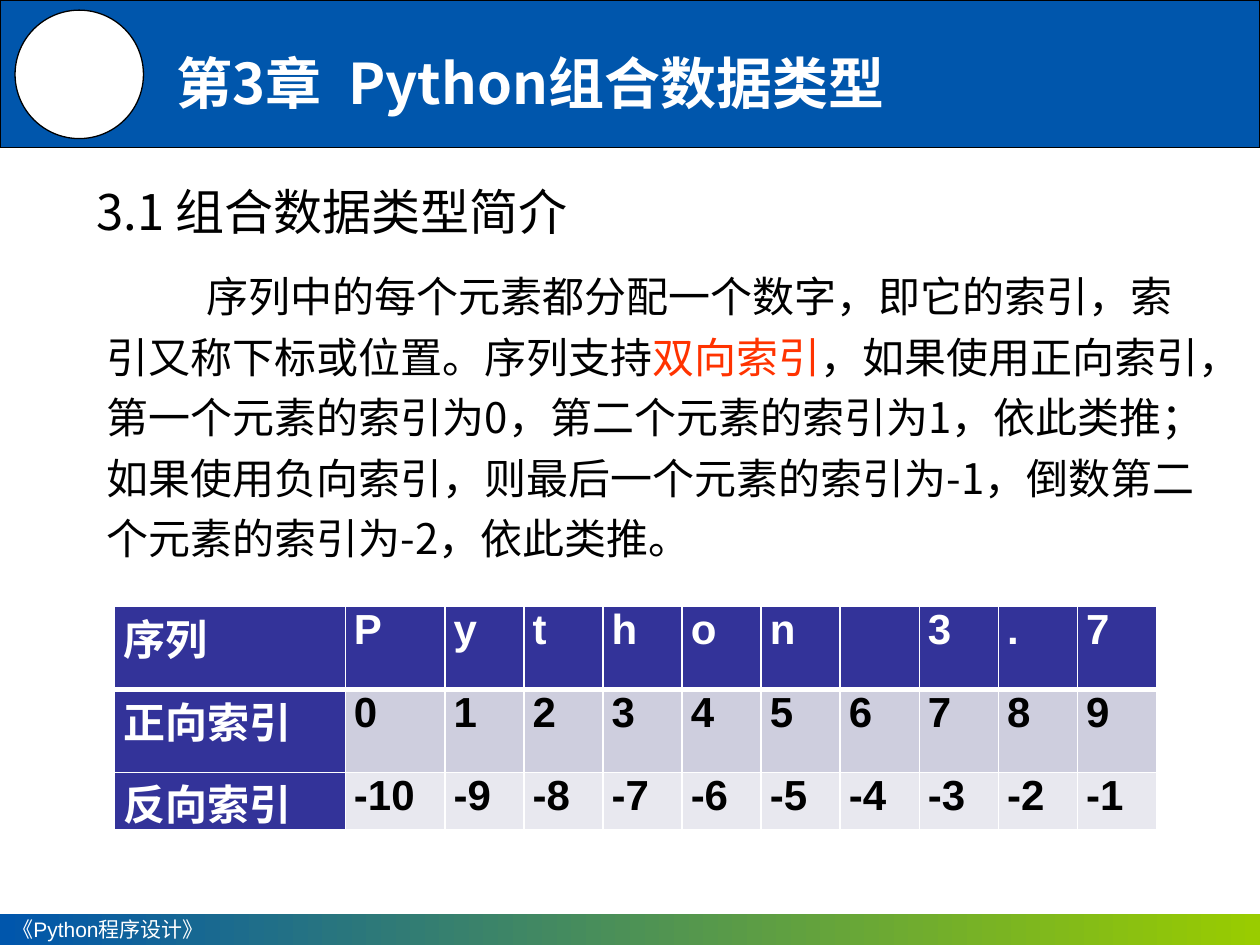
from dataclasses import dataclass
from typing import Optional

from lxml.etree import SubElement
from pptx import Presentation
from pptx.dml.color import RGBColor
from pptx.enum.shapes import MSO_SHAPE as Shape
from pptx.enum.text import MSO_ANCHOR as Anchor, PP_ALIGN as Align
from pptx.oxml.ns import qn
from pptx.util import Pt


@dataclass(frozen=True)
class Theme:
    blue: str = "0056AC"
    green: str = "99CC00"
    white: str = "FFFFFF"
    black: str = "000000"
    accent: str = "FF3300"
    header: str = "333399"
    forward: str = "CECEDE"
    backward: str = "E8E8EF"
    sans: str = "Noto Sans CJK SC"
    latin: str = "Arial"
    title: float = 32
    heading: float = 28
    body: float = 24
    footer: float = 12


@dataclass(frozen=True)
class Box:
    left: float
    top: float
    width: float
    height: float

    def lengths(self) -> tuple:
        return Pt(self.left), Pt(self.top), Pt(self.width), Pt(self.height)


@dataclass(frozen=True)
class Words:
    text: str
    size: float
    color: str
    font: str = "Noto Sans CJK SC"
    bold: bool = False
    spacing: Optional[float] = None


@dataclass(frozen=True)
class IndexRow:
    label: str
    values: list
    fill: str
    color: str
    height: float


THEME = Theme()


def rgb(color: str) -> RGBColor:
    return RGBColor.from_string(color)


def add_words(paragraph, words: Words) -> None:
    run = paragraph.add_run()
    run.text = words.text
    font = run.font
    font.size, font.bold, font.name = Pt(words.size), words.bold, words.font
    font.color.rgb = rgb(words.color)
    properties = run.font._element
    SubElement(properties, qn("a:ea"), typeface=THEME.sans)
    if words.spacing is not None:
        properties.set("spc", str(int(words.spacing * 100)))


def add_text(slide, box: Box, parts: list, anchor=Anchor.TOP):
    frame = slide.shapes.add_textbox(*box.lengths()).text_frame
    frame.word_wrap = True
    frame.vertical_anchor = anchor
    paragraph = frame.paragraphs[0]
    for words in parts:
        add_words(paragraph, words)
    return paragraph


def add_outlined(slide, kind, box: Box, fill: str) -> None:
    outlined = slide.shapes.add_shape(kind, *box.lengths())
    outlined.shadow.inherit = False
    outlined.fill.solid()
    outlined.fill.fore_color.rgb = rgb(fill)
    outlined.line.color.rgb = rgb(THEME.black)
    outlined.line.width = Pt(0.75)


def add_footer(slide) -> None:
    band = slide.shapes.add_shape(Shape.RECTANGLE, *Box(0, 522, 720, 18).lengths())
    band.shadow.inherit = False
    band.line.fill.background()
    band.fill.gradient()
    band.fill.gradient_angle = 0
    for stop, color, position in zip(band.fill.gradient_stops, (THEME.blue, THEME.green), (0, 1)):
        stop.color.rgb = rgb(color)
        stop.position = position
    frame = band.text_frame
    frame.vertical_anchor = Anchor.MIDDLE
    frame.margin_top = frame.margin_bottom = 0
    paragraph = frame.paragraphs[0]
    paragraph.alignment = Align.LEFT
    add_words(paragraph, Words("《Python程序设计》", THEME.footer, THEME.white, THEME.latin))


def add_borders(cell, top: float, bottom: float) -> None:
    properties = cell._tc.get_or_add_tcPr()
    for edge, width in (("L", 1), ("R", 1), ("T", top), ("B", bottom)):
        border = SubElement(properties, qn(f"a:ln{edge}"), w=str(Pt(width)))
        fill = SubElement(border, qn("a:solidFill"))
        SubElement(fill, qn("a:srgbClr"), val=THEME.white)


def fill_cell(cell, text: str, fill: str, color: str) -> None:
    cell.margin_left = cell.margin_right = Pt(5)
    cell.margin_top = cell.margin_bottom = 0
    cell.fill.solid()
    cell.fill.fore_color.rgb = rgb(fill)
    paragraph = cell.text_frame.paragraphs[0]
    paragraph.alignment = Align.JUSTIFY
    if text.strip():
        add_words(paragraph, Words(text, THEME.body, color, THEME.latin, bold=True))


def add_index_table(slide, left: float, top: float, widths: list, rows: list) -> None:
    box = Box(left, top, sum(widths), sum(row.height for row in rows))
    table = slide.shapes.add_table(len(rows), len(widths), *box.lengths()).table
    for column, width in zip(table.columns, widths):
        column.width = Pt(width)
    for r, row in enumerate(rows):
        table.rows[r].height = Pt(row.height)
        for c, text in enumerate([row.label, *row.values]):
            cell = table.cell(r, c)
            add_borders(cell, top=3 if r == 1 else 1, bottom=3 if r == 0 else 1)
            is_label = c == 0
            fill_cell(cell, text, THEME.header if is_label else row.fill,
                      THEME.white if is_label else row.color)


def main() -> None:
    deck = Presentation()
    deck.slide_width, deck.slide_height = Pt(720), Pt(540)
    slide = deck.slides.add_slide(deck.slide_layouts[6])

    # Chapter banner and footer
    add_outlined(slide, Shape.RECTANGLE, Box(0, 0, 720, 84.2), THEME.blue)
    add_footer(slide)
    add_outlined(slide, Shape.OVAL, Box(8.6, 5.8, 73.4, 73.4), THEME.white)
    chapter = [Words(text, THEME.title, THEME.white, bold=True, spacing=spacing)
               for text, spacing in (("第3章", None), (" ", 8), ("Python组合数据类型", None))]
    add_text(slide, Box(93.6, 10.8, 465, 72), chapter, Anchor.MIDDLE)

    # Section heading
    add_text(slide, Box(48.2, 100, 327, 45.4),
             [Words("3.1 组合数据类型简介", THEME.heading, THEME.black)])

    # Explanation of the two index directions
    explanation = [
        ("序列中的每个元素都分配一个数字，即它的索引，索引又称下标或位置。序列支持", THEME.black),
        ("双向索引", THEME.accent),
        ("，如果使用正向索引，第一个元素的索引为0，第二个元素的索引为1，依此类推；"
         "如果使用负向索引，则最后一个元素的索引为-1，倒数第二个元素的索引为-2，依此类推。", THEME.black),
    ]
    paragraph = add_text(slide, Box(54, 145.4, 642.2, 184.3),
                         [Words(text, THEME.body, color) for text, color in explanation])
    paragraph.line_spacing = 1.2
    paragraph._p.get_or_add_pPr().set("indent", str(Pt(56.9)))

    # Index table
    sequence = "Python 3.7"
    count = len(sequence)
    add_index_table(slide, 65.5, 346.5, [131.8, 56.9] + [45.2] * (count - 1), [
        IndexRow("序列", list(sequence), THEME.header, THEME.white, 47.4),
        IndexRow("正向索引", [str(i) for i in range(count)], THEME.forward, THEME.black, 47.4),
        IndexRow("反向索引", [str(i) for i in range(-count, 0)], THEME.backward, THEME.black, 32.6),
    ])

    deck.save("out.pptx")


if __name__ == "__main__":
    main()
